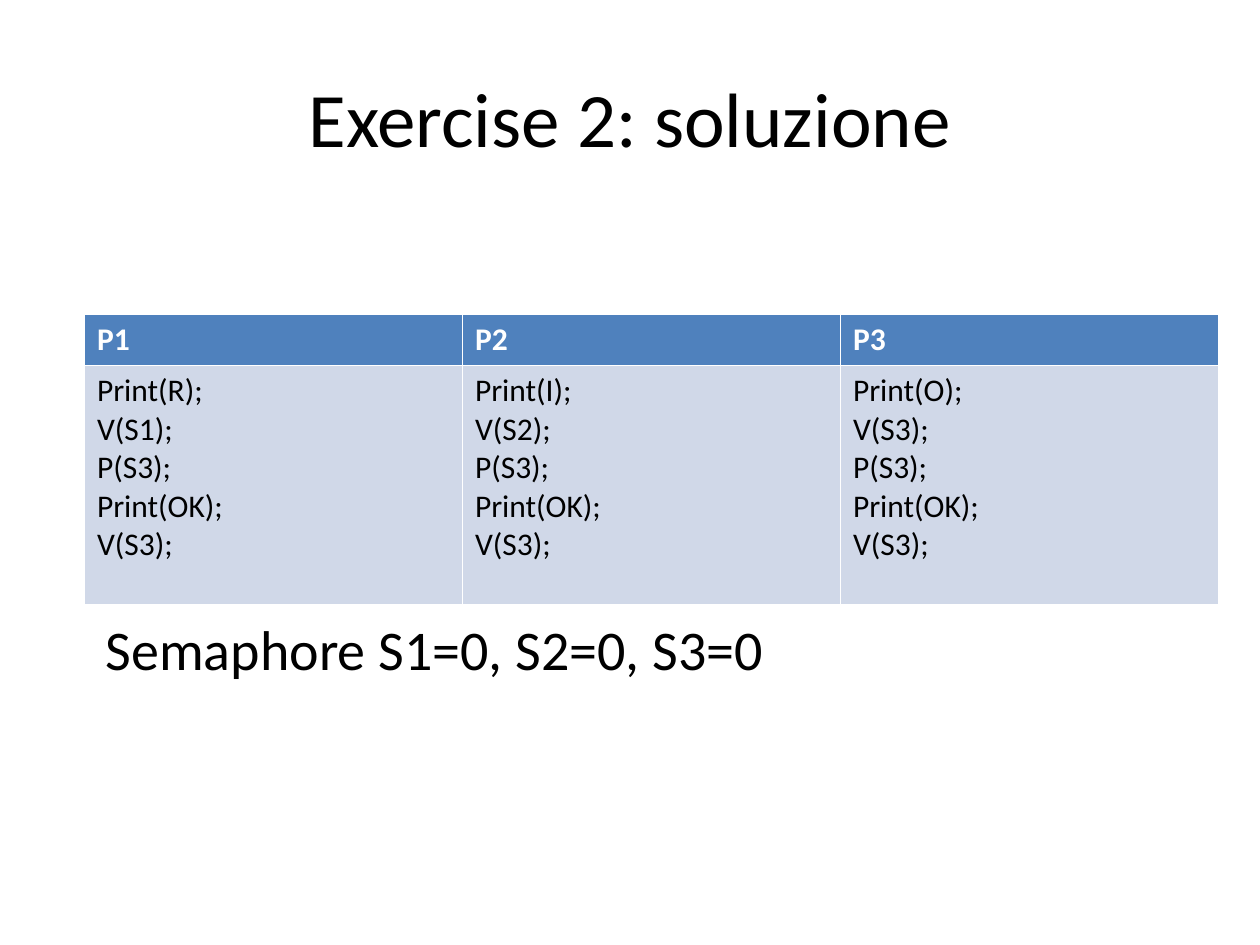
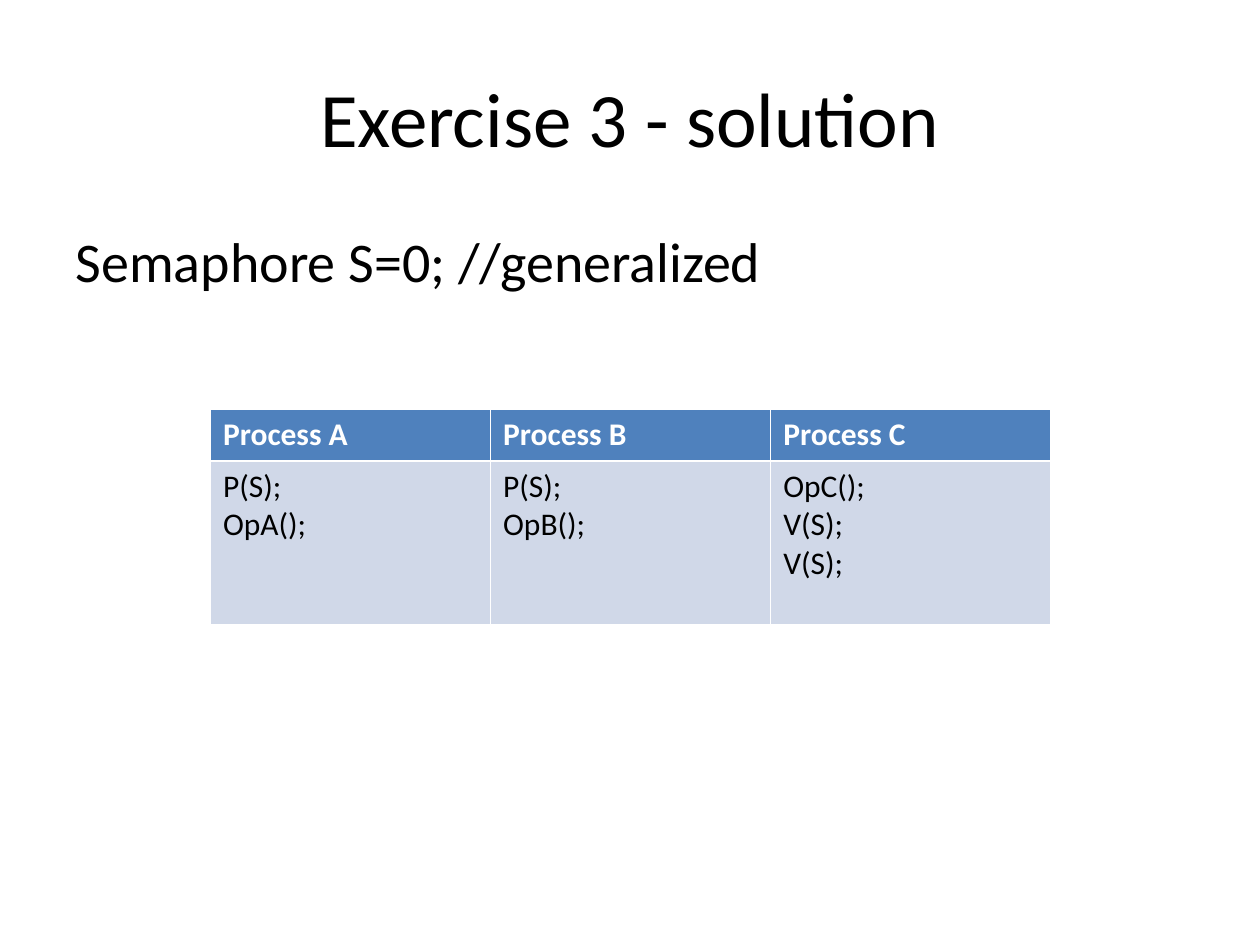
from dataclasses import dataclass

from lxml import etree
from pptx import Presentation
from pptx.dml.color import RGBColor
from pptx.enum.text import MSO_ANCHOR, PP_ALIGN
from pptx.oxml.ns import qn
from pptx.util import Inches, Pt

CENTER, LEFT = PP_ALIGN.CENTER, PP_ALIGN.LEFT
MIDDLE, TOP = MSO_ANCHOR.MIDDLE, MSO_ANCHOR.TOP
TITLE_AND_BODY, TITLE_ONLY = 1, 5


@dataclass(frozen=True)
class Theme:
    font: str = "Calibri"
    ink: RGBColor = RGBColor(0x00, 0x00, 0x00)
    header_ink: RGBColor = RGBColor(0xFF, 0xFF, 0xFF)
    header_fill: RGBColor = RGBColor(0x4F, 0x81, 0xBD)
    code_fill: RGBColor = RGBColor(0xD0, 0xD8, 0xE8)
    title_size: int = 44
    note_size: int = 32
    cell_size: int = 18


THEME = Theme()
HEADER_HEIGHT = 0.41
TITLE_BOX = (0.5, 0.3, 9, 1.25)

EXERCISES = [
    {
        "title": "Exercise 2: soluzione",
        "layout": TITLE_ONLY,
        "note": "Semaphore S1=0, S2=0, S3=0",
        "note_box": (0.74, 4.83, 8.52, 1.53),
        "table_box": (0.67, 2.49, 9, 2.31),
        "processes": {
            "P1": ["Print(R);", "V(S1);", "P(S3);", "Print(OK);", "V(S3);"],
            "P2": ["Print(I);", "V(S2);", "P(S3);", "Print(OK);", "V(S3);"],
            "P3": ["Print(O);", "V(S3);", "P(S3);", "Print(OK);", "V(S3);"],
        },
    },
    {
        "title": "Exercise 3 - solution",
        "layout": TITLE_AND_BODY,
        "note": "Semaphore S=0; //generalized",
        "note_box": (0.5, 1.75, 9, 1.29),
        "table_box": (1.67, 3.25, 6.67, 1.71),
        "processes": {
            "Process A": ["P(S);", "OpA();"],
            "Process B": ["P(S);", "OpB();"],
            "Process C": ["OpC();", "V(S);", "V(S);"],
        },
    },
]


def write(frame, lines, size, color=THEME.ink, bold=False, align=LEFT):
    """Fill a text frame with one formatted paragraph per line."""
    frame.text = "\n".join(lines)
    font_format = {"name": THEME.font, "size": Pt(size), "bold": bold}
    for paragraph in frame.paragraphs:
        paragraph.alignment = align
        for run in paragraph.runs:
            for attribute, value in font_format.items():
                setattr(run.font, attribute, value)
            run.font.color.rgb = color


def place(shape, box):
    for side, length in zip(("left", "top", "width", "height"), box):
        setattr(shape, side, Inches(length))


prs = Presentation()
prs.slide_width, prs.slide_height = Inches(10), Inches(7.5)

for exercise in EXERCISES:
    slide = prs.slides.add_slide(prs.slide_layouts[exercise["layout"]])

    title = slide.shapes.title
    place(title, TITLE_BOX)
    title.text_frame.vertical_anchor = MIDDLE
    write(title.text_frame, [exercise["title"]], THEME.title_size, align=CENTER)

    # The default table style supplies the white cell borders.
    processes = exercise["processes"]
    box = exercise["table_box"]
    table = slide.shapes.add_table(2, len(processes), *map(Inches, box)).table
    table.rows[0].height = Inches(HEADER_HEIGHT)
    table.rows[1].height = Inches(box[3] - HEADER_HEIGHT)
    for column, (process, steps) in enumerate(processes.items()):
        table.columns[column].width = Inches(box[2] / len(processes))
        header, code = table.cell(0, column), table.cell(1, column)
        for cell, fill in ((header, THEME.header_fill), (code, THEME.code_fill)):
            cell.fill.solid()
            cell.fill.fore_color.rgb = fill
        write(header.text_frame, [process], THEME.cell_size, THEME.header_ink, bold=True)
        write(code.text_frame, steps, THEME.cell_size)

    if exercise["layout"] == TITLE_AND_BODY:
        note = slide.placeholders[1]
        place(note, exercise["note_box"])
    else:
        note = slide.shapes.add_textbox(*map(Inches, exercise["note_box"]))
    note.text_frame.word_wrap = True
    note.text_frame.vertical_anchor = TOP
    write(note.text_frame, [exercise["note"]], THEME.note_size)
    properties = note.text_frame.paragraphs[0]._p.get_or_add_pPr()
    properties.set("marL", "0")
    properties.set("indent", "0")
    etree.SubElement(properties, qn("a:buNone"))

prs.save("out.pptx")
